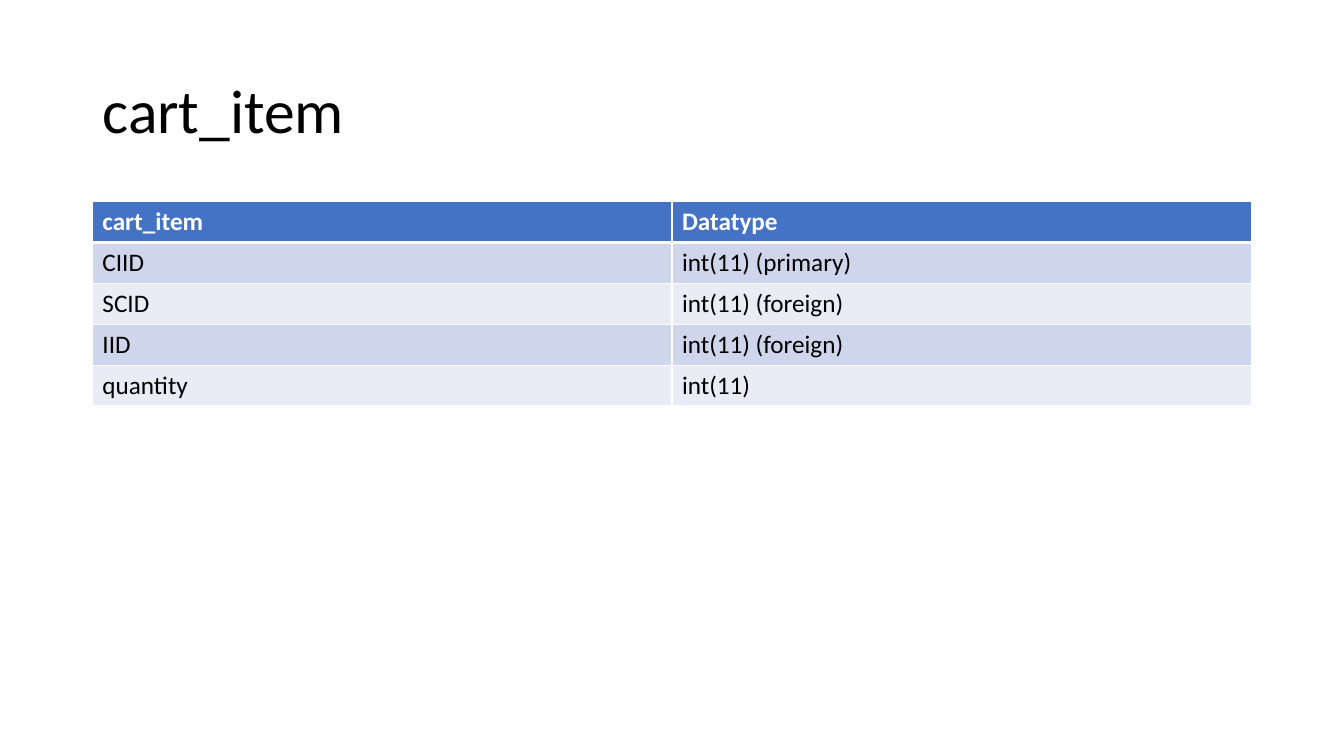
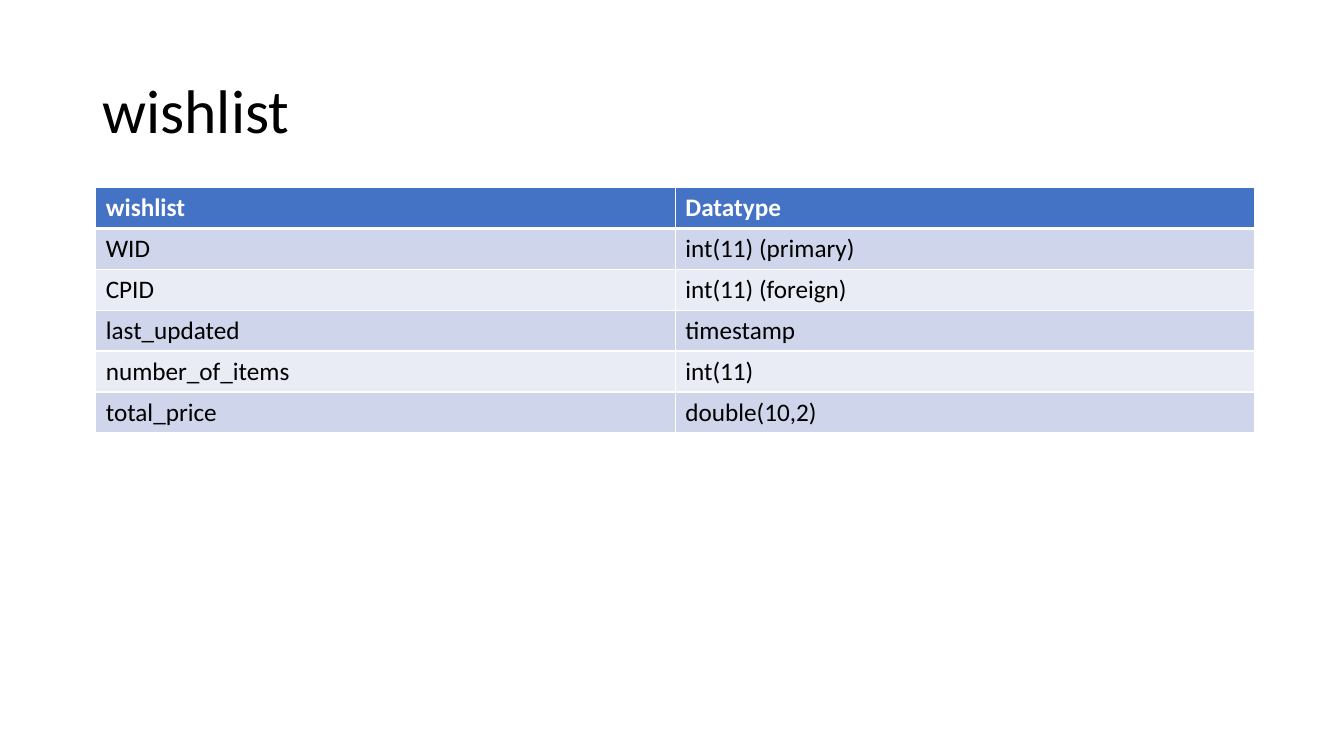
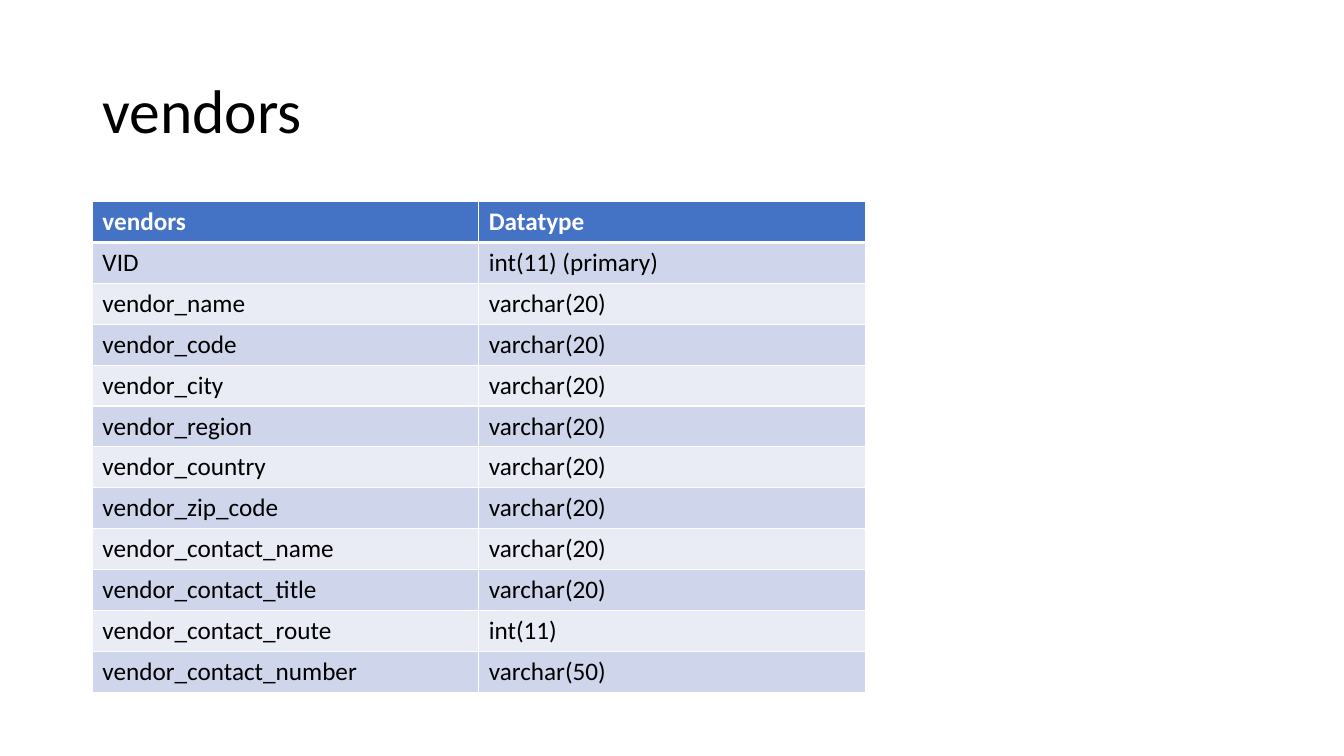
import dataclasses

import lxml.etree
import pptx
import pptx.dml.color
import pptx.enum.text
import pptx.oxml.ns
import pptx.util

Pt = pptx.util.Pt


@dataclasses.dataclass(frozen=True)
class Theme:
    font: str = "Calibri"
    title_size: float = 44
    cell_size: float = 18
    text: str = "000000"
    header_text: str = "FFFFFF"
    header_fill: str = "4472C4"
    band_fills: tuple = ("CFD5EA", "E9EBF5")
    border: str = "FFFFFF"
    border_width: float = 1
    header_rule_width: float = 3
    left: float = 66
    width: float = 828
    title_top: float = 28.75
    title_height: float = 104.4
    table_top: float = 144
    row_height: float = 29.2


class SchemaDeck:
    """Builds slides that each describe one database table."""

    def __init__(self, theme):
        self.theme = theme
        self.presentation = pptx.Presentation()
        self.presentation.slide_width = Pt(960)
        self.presentation.slide_height = Pt(540)
        self.slide = None

    def add_slide(self, title):
        layout = self.presentation.slide_layouts.get_by_name("Title Only")
        self.slide = self.presentation.slides.add_slide(layout)
        self.format_title(title)

    def style_text(self, paragraph, size, color, bold=False):
        font = paragraph.font
        font.name = self.theme.font
        font.size = Pt(size)
        font.bold = bold
        font.color.rgb = pptx.dml.color.RGBColor.from_string(color)

    def format_title(self, text):
        theme = self.theme
        shape = self.slide.shapes.title
        shape.left, shape.top = Pt(theme.left), Pt(theme.title_top)
        shape.width, shape.height = Pt(theme.width), Pt(theme.title_height)
        frame = shape.text_frame
        frame.text = text
        frame.vertical_anchor = pptx.enum.text.MSO_ANCHOR.MIDDLE
        paragraph = frame.paragraphs[0]
        paragraph.alignment = pptx.enum.text.PP_ALIGN.LEFT
        paragraph.line_spacing = 0.9
        self.style_text(paragraph, theme.title_size, theme.text)

    def add_border(self, cell, side, width):
        properties = cell._tc.get_or_add_tcPr()
        qn = pptx.oxml.ns.qn
        line = lxml.etree.SubElement(properties, qn(f"a:ln{side}"), w=str(Pt(width)))
        fill = lxml.etree.SubElement(line, qn("a:solidFill"))
        lxml.etree.SubElement(fill, qn("a:srgbClr"), val=self.theme.border)

    def format_cell(self, cell, text, row_index):
        theme = self.theme
        is_header = row_index == 0
        # Borders come before the fill, as the schema requires
        widths = dict.fromkeys("LRTB", theme.border_width)
        if row_index < 2:
            widths["B" if is_header else "T"] = theme.header_rule_width
        for side, width in widths.items():
            self.add_border(cell, side, width)
        fill = theme.header_fill if is_header else theme.band_fills[(row_index - 1) % 2]
        cell.fill.solid()
        cell.fill.fore_color.rgb = pptx.dml.color.RGBColor.from_string(fill)
        cell.text = text
        color = theme.header_text if is_header else theme.text
        self.style_text(cell.text_frame.paragraphs[0], theme.cell_size, color, is_header)

    def add_table(self, rows, left=None, top=None, width=None):
        theme = self.theme
        left = theme.left if left is None else left
        top = theme.table_top if top is None else top
        width = theme.width if width is None else width
        table = self.slide.shapes.add_table(
            len(rows), len(rows[0]), Pt(left), Pt(top),
            Pt(width), Pt(theme.row_height * len(rows))).table
        for row_index, values in enumerate(rows):
            table.rows[row_index].height = Pt(theme.row_height)
            for column_index, text in enumerate(values):
                self.format_cell(table.cell(row_index, column_index), text, row_index)

    def add_schema(self, name, fields, **placement):
        self.add_slide(name)
        self.add_table([(name, "Datatype"), *fields], **placement)


deck = SchemaDeck(Theme())

# Cart items
deck.add_schema("cart_item", [
    ("CIID", "int(11) (primary)"),
    ("SCID", "int(11) (foreign)"),
    ("IID", "int(11) (foreign)"),
    ("quantity", "int(11)"),
])

# Wishlist
deck.add_schema("wishlist", [
    ("WID", "int(11) (primary)"),
    ("CPID", "int(11) (foreign)"),
    ("last_updated", "timestamp"),
    ("number_of_items", "int(11)"),
    ("total_price", "double(10,2)"),
], left=68.4, top=134)

# Vendors
vendor_texts = ("name", "code", "city", "region", "country", "zip_code",
                "contact_name", "contact_title")
deck.add_schema("vendors", [
    ("VID", "int(11) (primary)"),
    *((f"vendor_{field}", "varchar(20)") for field in vendor_texts),
    ("vendor_contact_route", "int(11)"),
    ("vendor_contact_number", "varchar(50)"),
], width=552)

deck.presentation.save("out.pptx")
